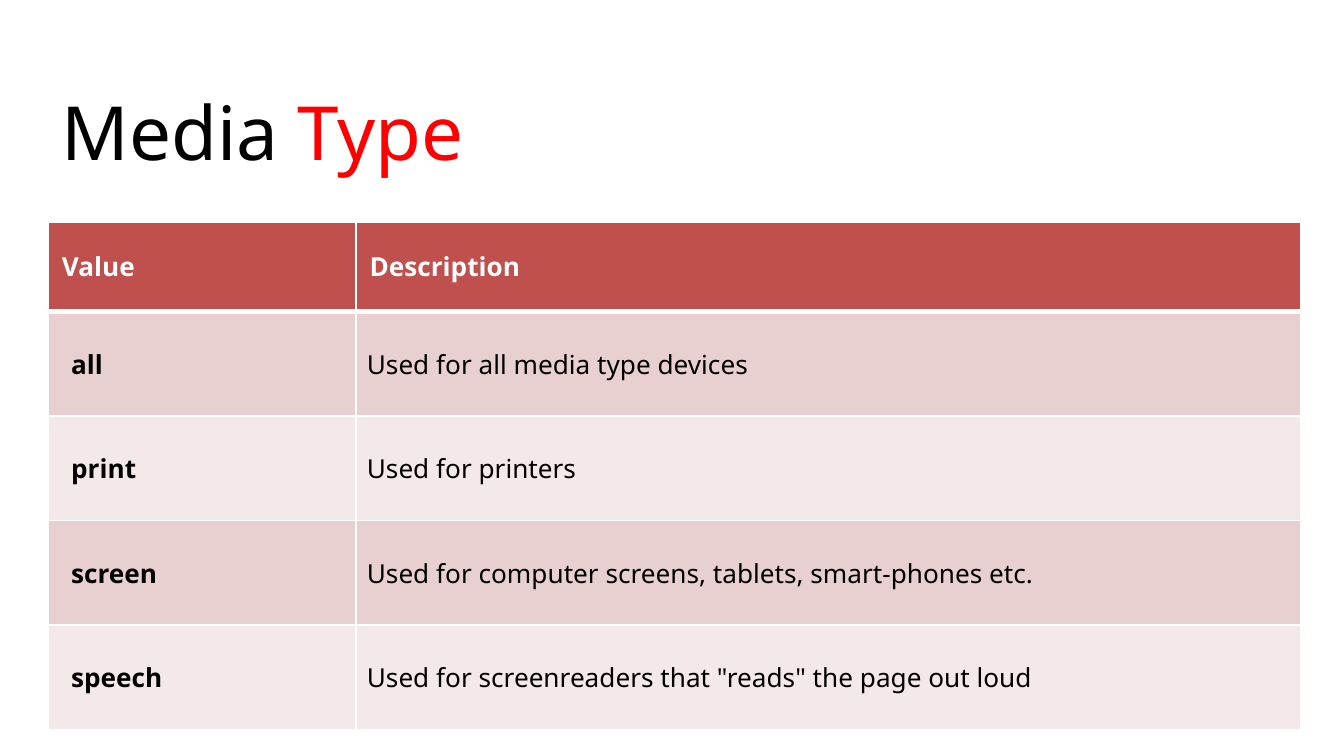
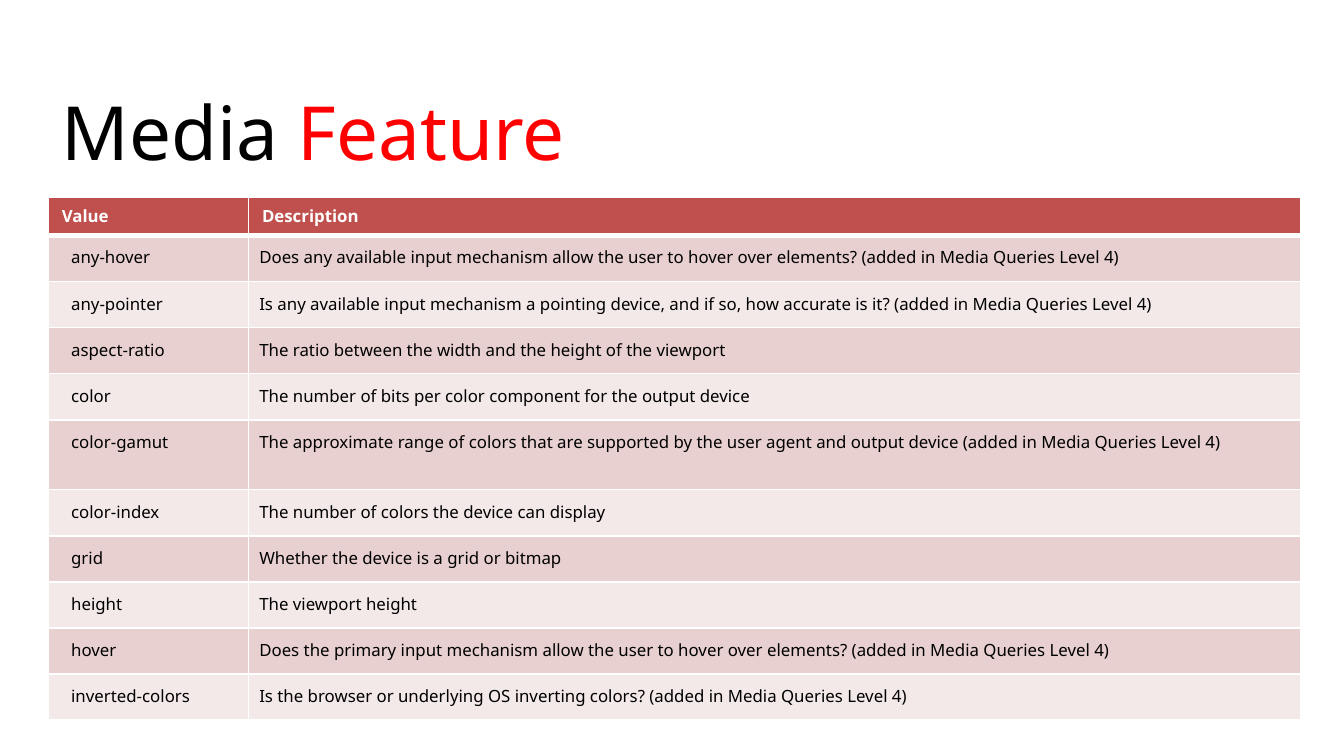
from pptx import Presentation
from pptx.dml.color import RGBColor
from pptx.enum.text import MSO_ANCHOR, MSO_AUTO_SIZE
from pptx.oxml.ns import qn
from pptx.util import Inches, Pt
from lxml.etree import SubElement

TYPES = [
    ("all", "Used for all media type devices"),
    ("print", "Used for printers"),
    ("screen", "Used for computer screens, tablets, smart-phones etc."),
    ("speech", 'Used for screenreaders that "reads" the page out loud'),
]
TRAITS = [
    ("any-hover", "Does any available input mechanism allow the user to hover over elements? (added in Media Queries Level 4)"),
    ("any-pointer", "Is any available input mechanism a pointing device, and if so, how accurate is it? (added in Media Queries Level 4)"),
    ("aspect-ratio", "The ratio between the width and the height of the viewport"),
    ("color", "The number of bits per color component for the output device"),
    ("color-gamut", "The approximate range of colors that are supported by the user agent and output device (added in Media Queries Level 4)"),
    ("color-index", "The number of colors the device can display"),
    ("grid", "Whether the device is a grid or bitmap"),
    ("height", "The viewport height"),
    ("hover", "Does the primary input mechanism allow the user to hover over elements? (added in Media Queries Level 4)"),
    ("inverted-colors", "Is the browser or underlying OS inverting colors? (added in Media Queries Level 4)"),
]


class Deck:
    """Holds the shared style and the current slide."""

    font = "Noto Sans"
    left = Inches(0.36)
    hues = {"ink": "000000", "mark": "FF0000", "paper": "FFFFFF",
            "head": "C0504D", "odd": "E8D0D0", "even": "F4E9E9"}

    def __init__(self):
        self.prs = Presentation()
        self.prs.slide_width = Inches(10)
        self.prs.slide_height = Inches(10 * 9 / 16)

    def hue(self, name):
        return RGBColor.from_string(self.hues[name])

    def page(self):
        self.slide = self.prs.slides.add_slide(self.prs.slide_layouts[6])

    def run(self, para, text, size, hue, bold=False):
        run = para.add_run()
        run.text = text
        font = run.font
        font.name, font.size, font.bold = self.font, Pt(size), bold
        font.color.rgb = self.hue(hue)

    def title(self, text, mark):
        box = self.slide.shapes.add_textbox(
            self.left, Inches(0.59), Inches(5.44), Inches(0.77))
        frame = box.text_frame
        frame.word_wrap = True
        frame.auto_size = MSO_AUTO_SIZE.SHAPE_TO_FIT_TEXT
        para = frame.paragraphs[0]
        self.run(para, text, 40, "ink")
        self.run(para, " " + mark, 40, "mark")

    def edge(self, cell, row):
        props = cell._tc.get_or_add_tcPr()
        for side in "LRTB":
            thick = (row, side) in ((0, "B"), (1, "T"))
            line = SubElement(props, qn("a:ln" + side), w=str(Pt(3 if thick else 1)))
            fill = SubElement(line, qn("a:solidFill"))
            SubElement(fill, qn("a:srgbClr"), val=self.hues["paper"])

    def cell(self, cell, row, col, text, size, bold, mid):
        head = row == 0
        self.edge(cell, row)
        cell.fill.solid()
        cell.fill.fore_color.rgb = self.hue("head" if head else "odd" if row % 2 else "even")
        cell.vertical_anchor = MSO_ANCHOR.MIDDLE if head or mid else MSO_ANCHOR.TOP
        if not head:
            cell.margin_left = Inches(0.08 if col else 0.17)
            cell.margin_right = cell.margin_top = cell.margin_bottom = Inches(0.08)
        self.run(cell.text_frame.paragraphs[0], text, size,
                 "paper" if head else "ink", head or bold and col == 0)

    def table(self, top, high, cols, fixed, data, size, bold=False, mid=False):
        rows = [("Value", "Description"), *data]
        rest = (high - sum(fixed.values())) / (len(rows) - len(fixed))
        table = self.slide.shapes.add_table(
            len(rows), len(cols), self.left, Inches(top),
            Inches(sum(cols)), Inches(high)).table
        for col, wide in zip(table.columns, cols):
            col.width = Inches(wide)
        for i, texts in enumerate(rows):
            table.rows[i].height = Inches(fixed.get(texts[0], rest))
            for j, text in enumerate(texts):
                self.cell(table.cell(i, j), i, j, text, size, bold, mid)


def main():
    deck = Deck()
    deck.page()
    deck.title("Media", "Type")
    deck.table(1.65, 3.78, (2.29, 7.03), {"Value": 0.67}, TYPES, 14, bold=True, mid=True)

    deck.page()
    deck.title("Media", "Feature")
    deck.table(1.47, 3.89, (1.49, 7.83), {"Value": 0.28, "color-gamut": 0.52}, TRAITS, 9)
    deck.prs.save("out.pptx")


if __name__ == "__main__":
    main()
